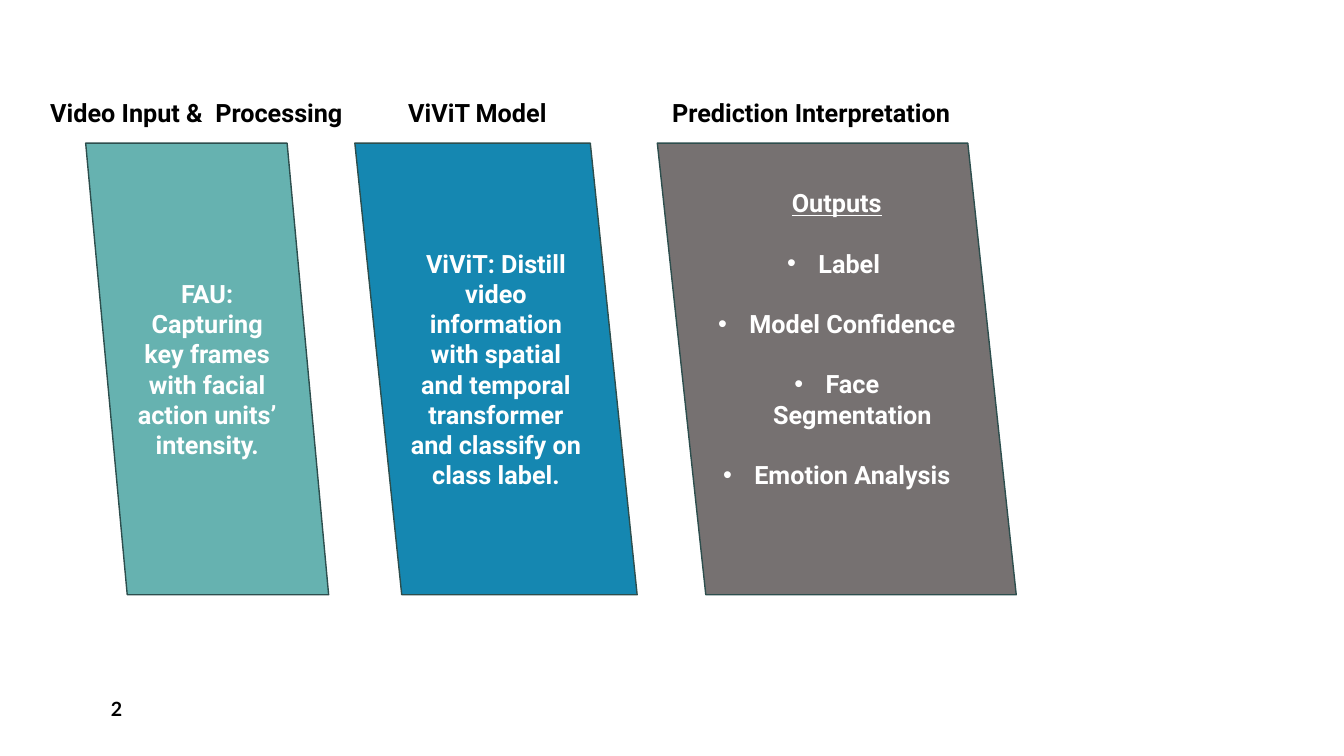
import pptx
import pptx.util
import pptx.dml.color
import pptx.enum.shapes
import pptx.enum.text
import pptx.oxml
import pptx.oxml.ns
from pptx.util import Inches, Pt

# Content: one entry per stage, lengths in inches
STAGES = [
    dict(heading="Video Input &  Processing", heading_left=0.4, heading_align="left",
         left=0.85, width=2.41, slant=0.171, fill="teal",
         body="FAU: Capturing key frames with facial action units’ intensity."),
    dict(heading="ViViT Model", heading_left=3.02, heading_align="center",
         left=3.52, width=2.8, slant=0.166, fill="blue",
         body="ViViT: Distill video information with spatial and temporal "
              "transformer and classify on class label."),
    dict(heading="Prediction Interpretation", heading_left=6.33, heading_align="center",
         left=6.52, width=3.56, slant=0.135, fill="gray",
         body="Outputs",
         bullets=["Label ", "Model Confidence", "Face Segmentation", "Emotion Analysis"]),
]
PAGE_NUMBER = "2"

THEME = dict(
    teal="66B2B0", blue="1587B1", gray="767171", outline="2D4E4D",
    black="000000", white="FFFFFF",
    font="Roboto", number_font="Lato", text_size=18, number_size=14,
    bullet_gap=21.5,
)
ALIGN = dict(left=pptx.enum.text.PP_ALIGN.LEFT, center=pptx.enum.text.PP_ALIGN.CENTER)
PANEL_TOP, PANEL_HEIGHT = 1.42, 4.48
HEADING_TOP, HEADING_WIDTH, HEADING_HEIGHT = 0.92, 3.43, 0.4
BULLET_INDENT = 0.31
OUTPUTS_BOTTOM_INSET = 0.65


def color(name):
    return pptx.dml.color.RGBColor.from_string(THEME[name])


def write(para, text, font="font", size="text_size", ink="black", align="left",
          underline=False, bullet=False):
    """Fill one paragraph with bold text."""
    para.alignment = ALIGN[align]
    span = para.add_run()
    span.text = text
    span.font.name = THEME[font]
    span.font.size = Pt(THEME[size])
    span.font.bold = True
    span.font.underline = underline
    span.font.color.rgb = color(ink)
    if bullet:
        para.space_before = Pt(THEME["bullet_gap"])
        props = para._p.get_or_add_pPr()
        props.set("marL", str(Inches(BULLET_INDENT)))
        props.set("indent", str(-Inches(BULLET_INDENT)))
        for tag, key, value in (("a:buFont", "typeface", "Arial"), ("a:buChar", "char", "•")):
            mark = pptx.oxml.ns.qn(tag)
            props.append(props.makeelement(mark, {key: value}))


def add_label(shapes, text, left, top, width, height, anchor, **style):
    box = shapes.add_textbox(Inches(left), Inches(top), Inches(width), Inches(height))
    box.text_frame.word_wrap = True
    box.text_frame.vertical_anchor = anchor
    write(box.text_frame.paragraphs[0], text, **style)


def add_stage(page, stage):
    shapes = page.shapes.add_group_shape().shapes
    bullets = stage.get("bullets", [])

    # Slanted panel
    panel = shapes.add_shape(
        pptx.enum.shapes.MSO_SHAPE.PARALLELOGRAM, Inches(stage["left"]), Inches(PANEL_TOP),
        Inches(stage["width"]), Inches(PANEL_HEIGHT))
    panel.adjustments[0] = stage["slant"]
    panel._element.spPr.get_or_add_xfrm().set("flipH", "1")
    panel.shadow.inherit = False
    panel.fill.solid()
    panel.fill.fore_color.rgb = color(stage["fill"])
    panel.line.color.rgb = color("outline")
    panel.line.width = Pt(1)

    # Panel text
    frame = panel.text_frame
    frame.word_wrap = True
    frame.vertical_anchor = pptx.enum.text.MSO_ANCHOR.MIDDLE
    write(frame.paragraphs[0], stage["body"], ink="white", align="center",
          underline=bool(bullets))
    for item in bullets:
        write(frame.add_paragraph(), item, ink="white", align="center", bullet=True)
    if bullets:
        frame.margin_bottom = Inches(OUTPUTS_BOTTOM_INSET)

    # Heading above the panel
    add_label(shapes, stage["heading"], stage["heading_left"], HEADING_TOP, HEADING_WIDTH,
              HEADING_HEIGHT, pptx.enum.text.MSO_ANCHOR.TOP, align=stage["heading_align"])


def main():
    deck = pptx.Presentation()
    deck.slide_width, deck.slide_height = Inches(13.33), Inches(7.5)
    page = deck.slides.add_slide(deck.slide_layouts[6])
    add_label(page.shapes, PAGE_NUMBER, 1, 6.83, 2.92, 0.4,
              pptx.enum.text.MSO_ANCHOR.MIDDLE, font="number_font", size="number_size")
    for stage in STAGES:
        add_stage(page, stage)
    deck.save("out.pptx")


if __name__ == "__main__":
    main()
